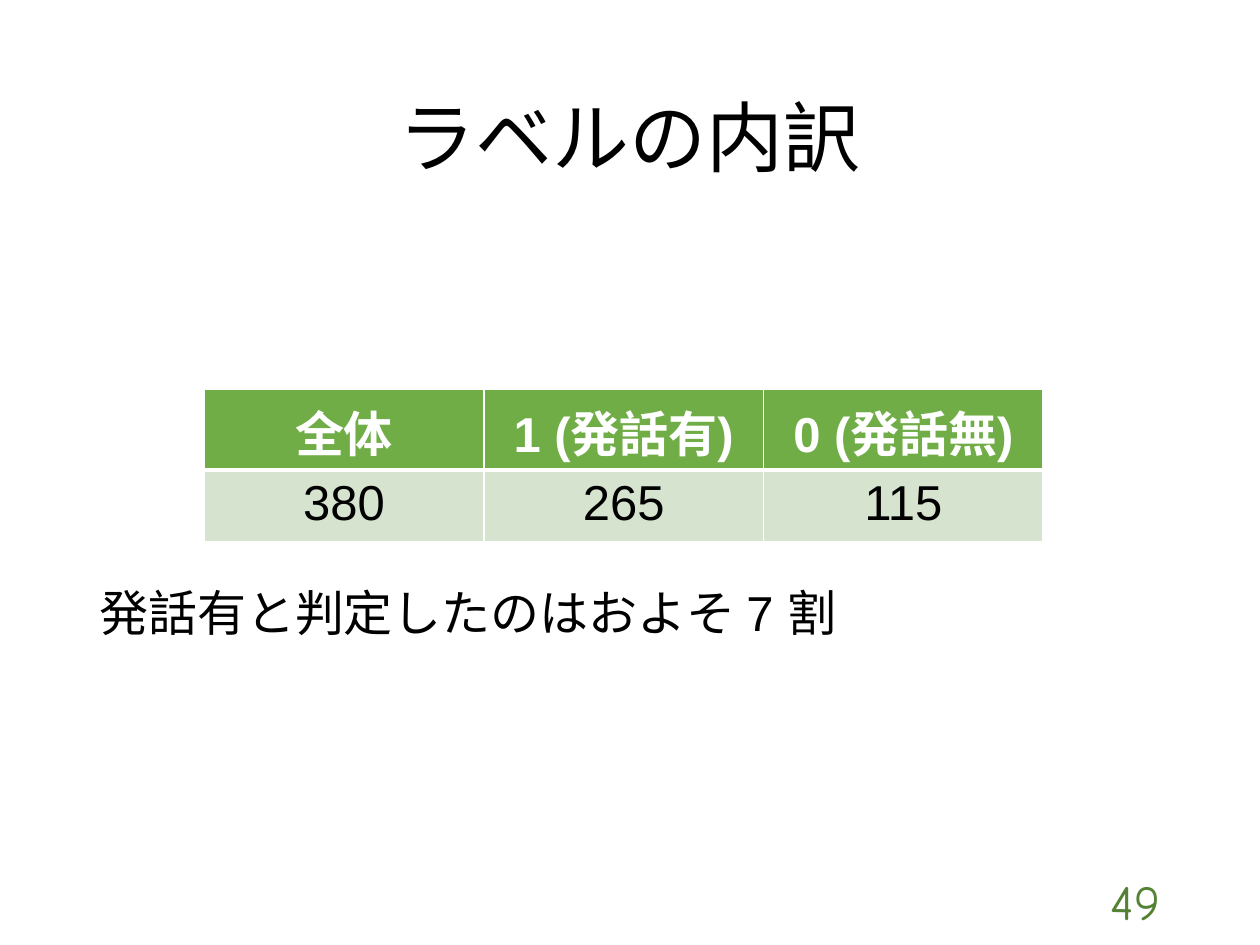
from dataclasses import dataclass

from lxml.etree import SubElement
from pptx import Presentation
from pptx.dml.color import RGBColor
from pptx.enum.text import MSO_ANCHOR, PP_ALIGN
from pptx.oxml.ns import qn
from pptx.util import Inches, Pt

CJK_FONT = "Noto Sans CJK JP"
BLACK, WHITE = "000000", "FFFFFF"


@dataclass
class Label:
    text: str
    left: float
    top: float
    width: float
    height: float
    size: int
    font: str
    color: str = BLACK
    align: PP_ALIGN = PP_ALIGN.LEFT
    anchor: MSO_ANCHOR = MSO_ANCHOR.MIDDLE
    line_spacing: float = 0.9


@dataclass
class RowStyle:
    values: tuple[str, ...]
    height: float
    fill: str
    color: str
    bold: bool
    top_line: float
    bottom_line: float


LABELS = [
    Label("ラベルの内訳", 0.69, 0.4, 8.62, 1.45, 44, CJK_FONT,
          align=PP_ALIGN.CENTER),
    Label("発話有と判定したのはおよそ 7 割", 0.69, 4.63, 8.62, 1.78, 28, "Arial",
          anchor=MSO_ANCHOR.TOP),
    Label("49", 8.28, 6.95, 1.03, 0.4, 28, "Comic Neue", "548235",
          align=PP_ALIGN.RIGHT, line_spacing=1.0),
]
ROWS = [
    RowStyle(("全体", "1 (発話有)", "0 (発話無)"), 0.64, "70AD47", WHITE, True, 1, 3),
    RowStyle(("380", "265", "115"), 0.52, "D5E3CF", BLACK, False, 3, 1),
]
COLUMN_WIDTH = 2.22


def rgb(color: str) -> RGBColor:
    return RGBColor.from_string(color)


def add_run(p, text: str, size: int, font: str, color: str, bold: bool = False) -> None:
    r = p.add_run()
    r.text = text
    r.font.size = Pt(size)
    r.font.name = font
    r.font.bold = bold
    r.font.color.rgb = rgb(color)
    SubElement(r.font._element, qn("a:ea"), typeface=CJK_FONT)


def add_label(s, label: Label) -> None:
    sp = s.shapes.add_textbox(Inches(label.left), Inches(label.top),
                              Inches(label.width), Inches(label.height))
    tf = sp.text_frame
    tf.word_wrap = True
    tf.vertical_anchor = label.anchor
    p = tf.paragraphs[0]
    p.alignment = label.align
    p.line_spacing = label.line_spacing
    add_run(p, label.text, label.size, label.font, label.color)


def set_borders(cell, top: float, bottom: float) -> None:
    """Draw white borders; must run before the fill, which follows them in the XML."""
    tc_pr = cell._tc.get_or_add_tcPr()
    for side, width in (("L", 1), ("R", 1), ("T", top), ("B", bottom)):
        ln = SubElement(tc_pr, qn(f"a:ln{side}"), w=str(Pt(width)))
        SubElement(SubElement(ln, qn("a:solidFill")), qn("a:srgbClr"), val=WHITE)


def add_label_table(s, rows: list[RowStyle], left: float, top: float) -> None:
    columns = len(rows[0].values)
    frame = s.shapes.add_table(len(rows), columns, Inches(left), Inches(top),
                               Inches(COLUMN_WIDTH * columns),
                               Inches(sum(row.height for row in rows)))
    table = frame.table
    for column in table.columns:
        column.width = Inches(COLUMN_WIDTH)
    for i, row in enumerate(rows):
        table.rows[i].height = Inches(row.height)
        for j, value in enumerate(row.values):
            cell = table.cell(i, j)
            set_borders(cell, row.top_line, row.bottom_line)
            cell.fill.solid()
            cell.fill.fore_color.rgb = rgb(row.fill)
            p = cell.text_frame.paragraphs[0]
            p.alignment = PP_ALIGN.CENTER
            add_run(p, value, 28, "Arial", row.color, row.bold)


def main() -> None:
    prs = Presentation()
    prs.slide_width, prs.slide_height = Inches(10), Inches(7.5)
    s = prs.slides.add_slide(prs.slide_layouts[6])
    for label in LABELS:
        add_label(s, label)
    add_label_table(s, ROWS, 1.62, 3.09)
    prs.save("out.pptx")


if __name__ == "__main__":
    main()
